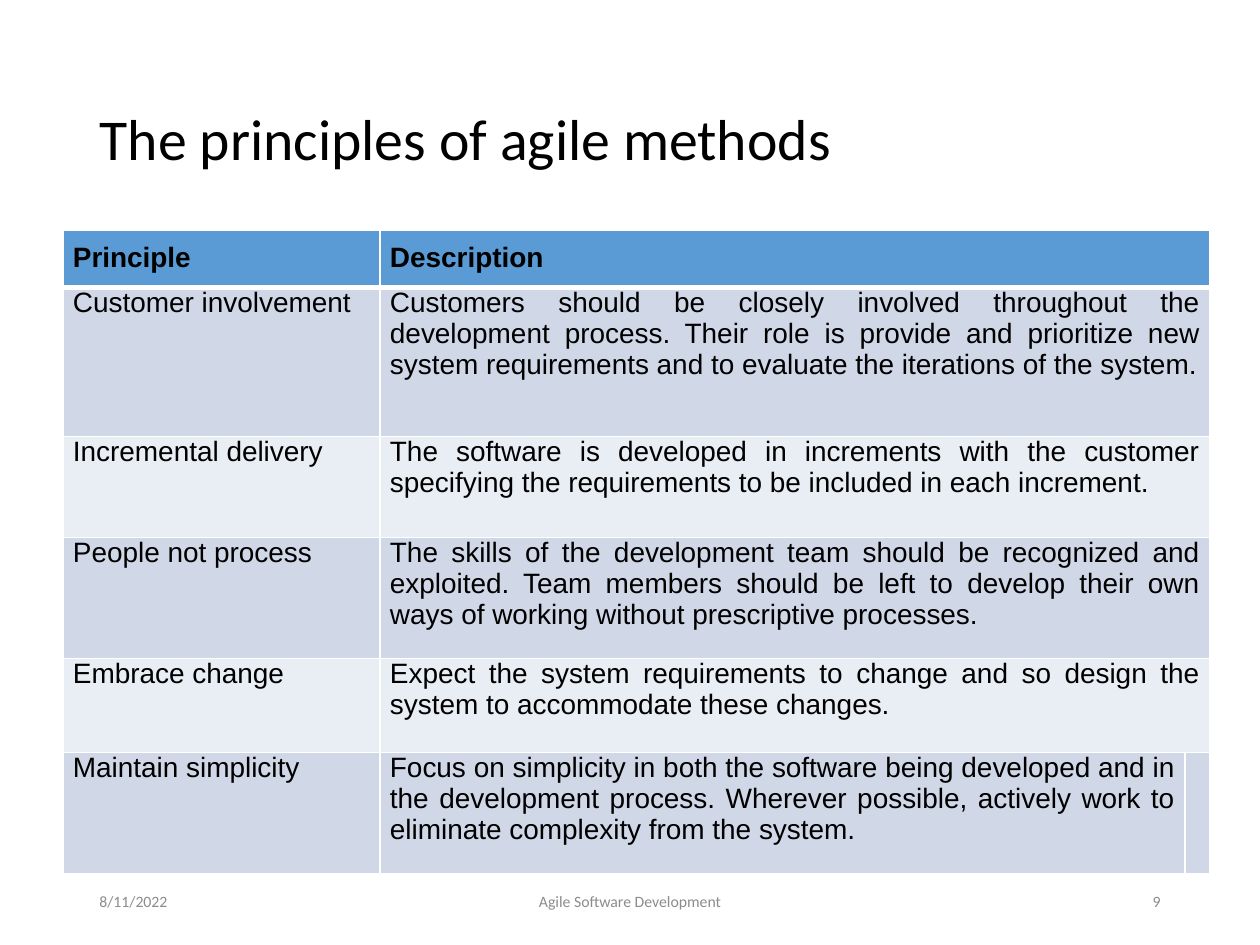
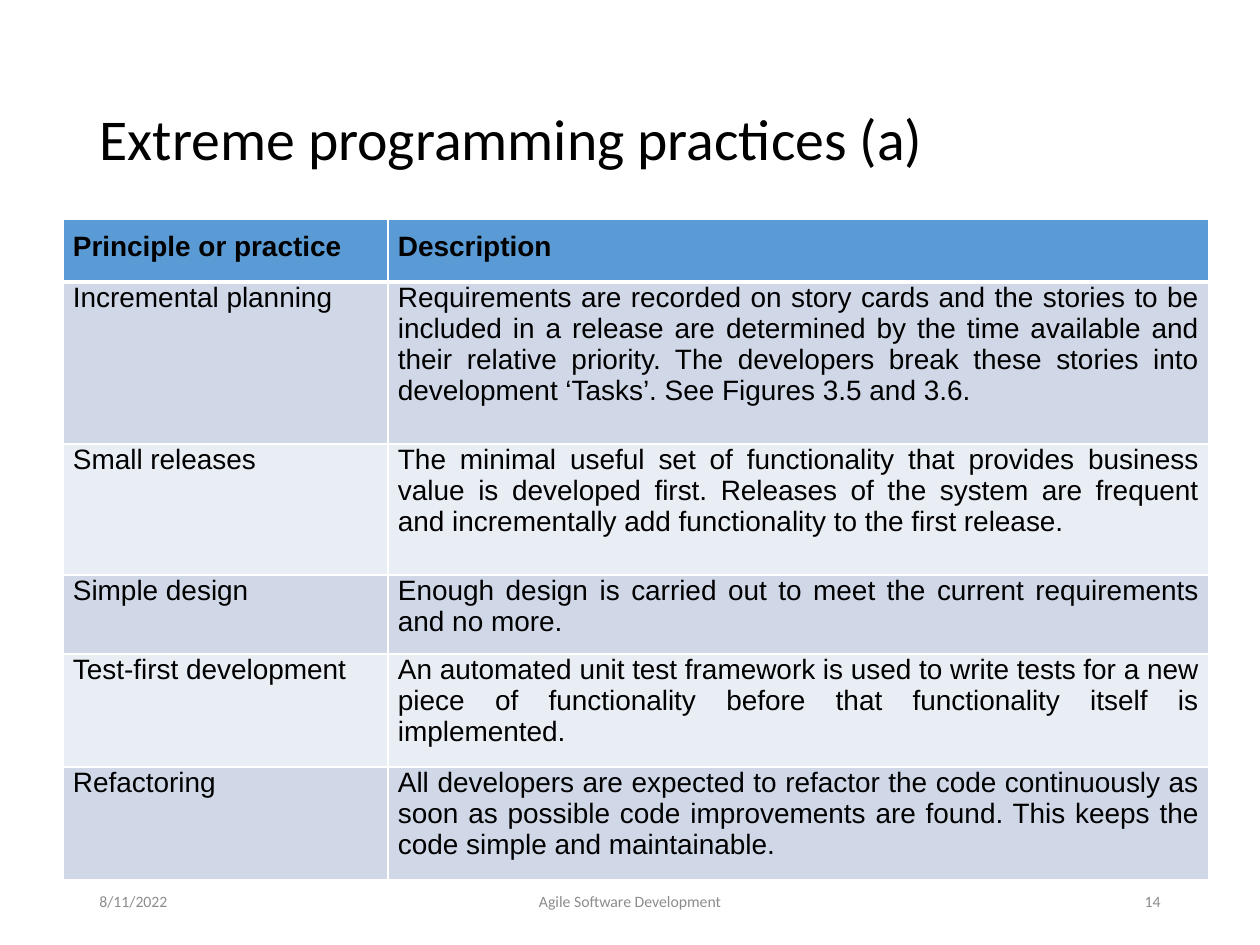
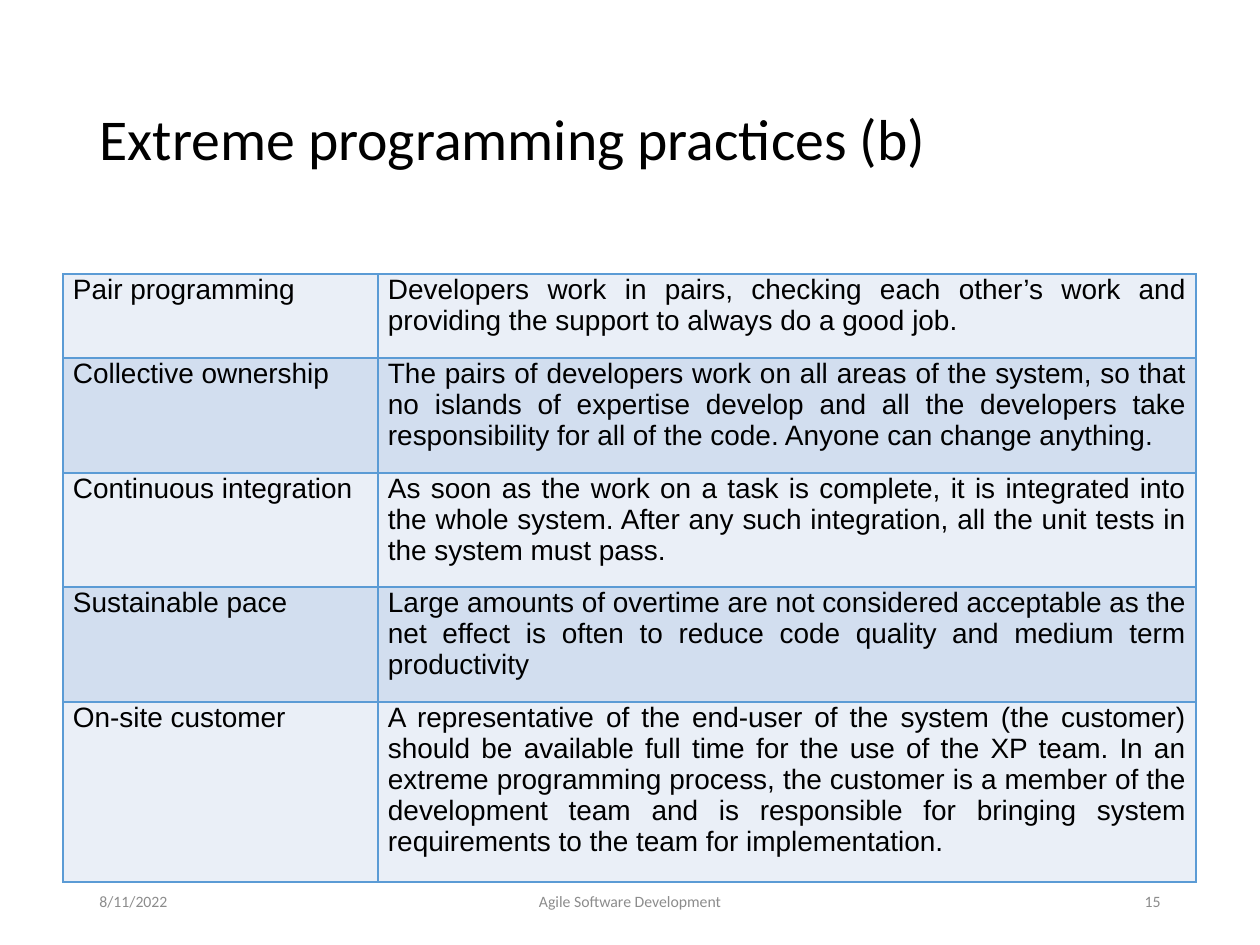
"""Build three slides of tables on agile methods."""
import lxml.etree
import pptx
import pptx.dml.color
import pptx.enum.text
import pptx.oxml.ns
import pptx.util

PX = 914400 / 126
HUES = {"ink": "000000", "grey": "8C8C8C", "white": "FFFFFF", "blue": "5B9BD5",
        "dark": "D0D8E8", "light": "E9EDF4", "pale": "EAEFF7", "sky": "D2DEEF"}
ALIGN = pptx.enum.text.PP_ALIGN
MIDDLE = pptx.enum.text.MSO_ANCHOR.MIDDLE
LEFT = 63

AGILE = [
    ("Principle", "Description"),
    ("Customer involvement",
     "Customers should be closely involved throughout the development process. "
     "Their role is provide and prioritize new system requirements and to "
     "evaluate the iterations of the system."),
    ("Incremental delivery",
     "The software is developed in increments with the customer specifying the "
     "requirements to be included in each increment."),
    ("People not process",
     "The skills of the development team should be recognized and exploited. "
     "Team members should be left to develop their own ways of working without "
     "prescriptive processes."),
    ("Embrace change",
     "Expect the system requirements to change and so design the system to "
     "accommodate these changes."),
    ("Maintain simplicity",
     "Focus on simplicity in both the software being developed and in the "
     "development process. Wherever possible, actively work to eliminate "
     "complexity from the system."),
]
FIRST = [
    ("Principle or practice", "Description"),
    ("Incremental planning",
     "Requirements are recorded on story cards and the stories to be included in "
     "a release are determined by the time available and their relative "
     "priority. The developers break these stories into development ‘Tasks’. "
     "See Figures 3.5 and 3.6."),
    ("Small releases",
     "The minimal useful set of functionality that provides business value is "
     "developed first. Releases of the system are frequent and incrementally "
     "add functionality to the first release."),
    ("Simple design",
     "Enough design is carried out to meet the current requirements and no more."),
    ("Test-first development",
     "An automated unit test framework is used to write tests for a new piece of "
     "functionality before that functionality itself is implemented."),
    ("Refactoring",
     "All developers are expected to refactor the code continuously as soon as "
     "possible code improvements are found. This keeps the code simple and "
     "maintainable."),
]
SECOND = [
    ("Pair programming",
     "Developers work in pairs, checking each other’s work and providing the "
     "support to always do a good job."),
    ("Collective ownership",
     "The pairs of developers work on all areas of the system, so that no "
     "islands of expertise develop and all the developers take responsibility "
     "for all of the code. Anyone can change anything."),
    ("Continuous integration",
     "As soon as the work on a task is complete, it is integrated into the whole "
     "system. After any such integration, all the unit tests in the system must "
     "pass."),
    ("Sustainable pace",
     "Large amounts of overtime are not considered acceptable as the net effect "
     "is often to reduce code quality and medium term productivity"),
    ("On-site customer",
     "A representative of the end-user of the system (the customer) should be "
     "available full time for the use of the XP team. In an extreme programming "
     "process, the customer is a member of the development team and is "
     "responsible for bringing system requirements to the team for "
     "implementation."),
]


def px(num):
    """Turn px into EMU."""
    return pptx.util.Emu(round(num * PX))


def paint(hue):
    """Give the colour of a named hue."""
    return pptx.dml.color.RGBColor.from_string(HUES[hue])


def write(frame, text, size, face, hue, align, bold=False):
    """Put one styled run in the first paragraph and return the paragraph."""
    para = frame.paragraphs[0]
    para.alignment = align
    run = para.add_run()
    run.text = text
    font = run.font
    font.size, font.name, font.bold = pptx.util.Pt(size), face, bold
    font.color.rgb = paint(hue)
    return para


def place(shape, left, top, width, height):
    """Set the box of a shape."""
    shape.left, shape.top = px(left), px(top)
    shape.width, shape.height = px(width), px(height)


def add_title(slide, text):
    """Move and fill the title."""
    title = slide.shapes.title
    place(title, 87, 50, 1086, 183)
    frame = title.text_frame
    frame.auto_size = pptx.enum.text.MSO_AUTO_SIZE.NONE
    frame.vertical_anchor = MIDDLE
    write(frame, text, 33, "Calibri", "ink", ALIGN.LEFT).line_spacing = 0.9


def add_foot(slide, page):
    """Add date, topic and page number."""
    for text, left, width, align in (
            ("8/11/2022", 87, 284, ALIGN.LEFT),
            ("Agile Software Development", 417, 426, ALIGN.CENTER),
            (str(page), 890, 283, ALIGN.RIGHT)):
        box = slide.shapes.add_textbox(px(left), px(876), px(width), px(50))
        box.text_frame.word_wrap = True
        box.text_frame.vertical_anchor = MIDDLE
        write(box.text_frame, text, 9, "Calibri", "grey", align)


def add_edge(cell, side, hue, width):
    """Draw one border of a cell."""
    props = cell._tc.get_or_add_tcPr()
    name = pptx.oxml.ns.qn
    line = lxml.etree.SubElement(props, name("a:ln" + side),
                                 w=str(pptx.util.Pt(width)))
    fill = lxml.etree.SubElement(line, name("a:solidFill"))
    lxml.etree.SubElement(fill, name("a:srgbClr"), val=HUES[hue])


def style_cell(cell, row, head, edge, bands):
    """Set borders, fill and margins of a cell."""
    top = head and row == 0
    thick = {"T": 3 if head and row == 1 else 1, "B": 3 if top else 1}
    for side in "LRTB":
        add_edge(cell, side, edge, thick.get(side, 1))
    cell.fill.solid()
    cell.fill.fore_color.rgb = paint("blue" if top else bands[(row - head) % 2])
    cell.margin_left = cell.margin_right = px(10)
    cell.margin_top = px(12 if top else 0)
    cell.margin_bottom = px(12)


def add_grid(slide, rows, top, wide, tall, edge, bands, head):
    """Add a table with an optional head row."""
    grid = slide.shapes.add_table(len(rows), len(wide), px(LEFT), px(top),
                                  px(sum(wide)), px(sum(tall))).table
    grid.first_row = grid.horz_banding = False
    for col, width in zip(grid.columns, wide):
        col.width = px(width)
    for line, height in zip(grid.rows, tall):
        line.height = px(height)
    for row, texts in enumerate(rows):
        for col in range(len(wide)):
            cell = grid.cell(row, col)
            style_cell(cell, row, head, edge, bands)
            if col < len(texts):
                write(cell.text_frame, texts[col], 16, "Arial", "ink",
                      ALIGN.JUSTIFY, head and row == 0)
    return grid


def main():
    """Build and save the deck."""
    deck = pptx.Presentation()
    deck.slide_width, deck.slide_height = px(1260), px(945)
    white = ("white", ("dark", "light"), True)
    blue = ("blue", ("pale", "sky"), False)
    grids = []
    for title, page, *table in (
            ("The principles of agile methods", 9, AGILE, 230,
             (317, 805, 18), (55, 149, 101, 121, 94, 121), *white),
            ("Extreme programming practices (a)", 14, FIRST, 219,
             (325, 821), (63, 162, 131, 76, 106, 105), *white),
            ("Extreme programming practices (b)", 15, SECOND, 274,
             (315, 818), (84, 115, 114, 115, 177), *blue)):
        slide = deck.slides.add_slide(deck.slide_layouts[5])
        add_title(slide, title)
        add_foot(slide, page)
        grids.append(add_grid(slide, *table))
    for row in range(len(AGILE) - 1):
        grids[0].cell(row, 1).merge(grids[0].cell(row, 2))
    deck.save("out.pptx")


if __name__ == "__main__":
    main()
